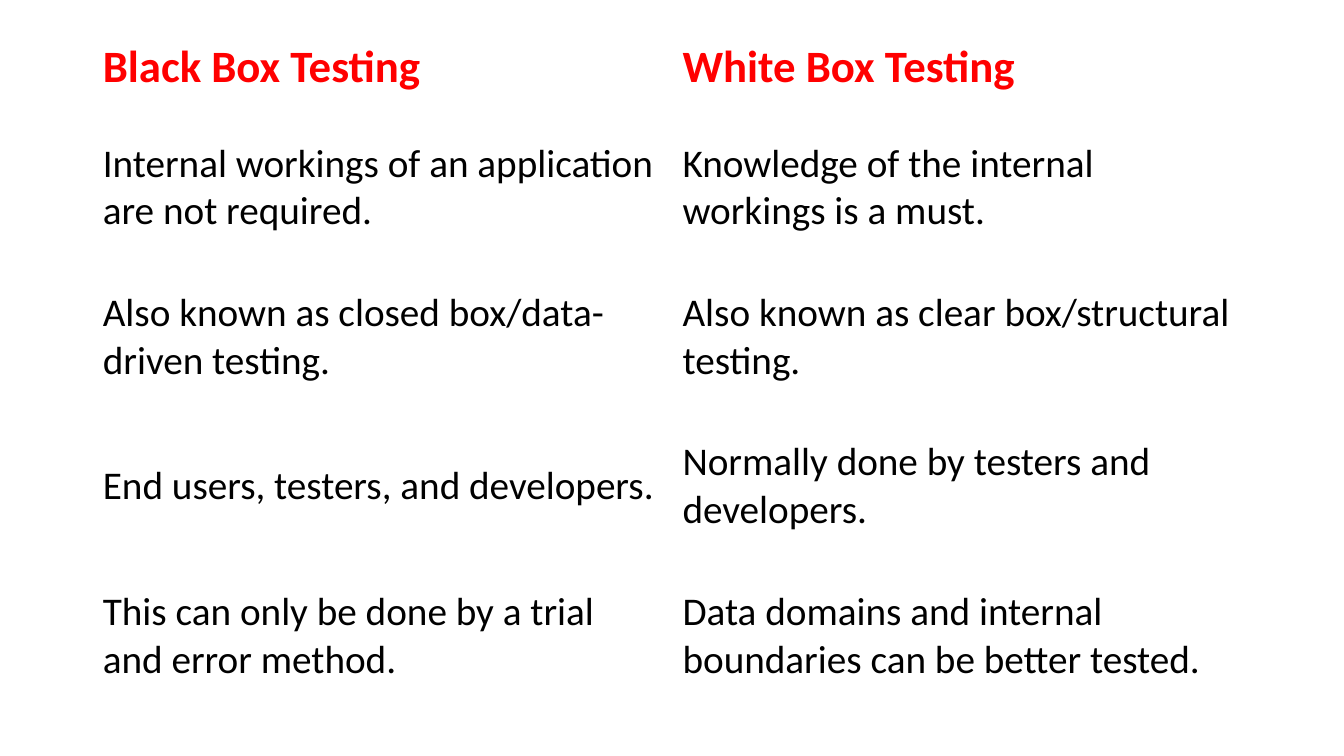
from pptx import Presentation
from pptx.dml.color import RGBColor
from pptx.enum.text import MSO_ANCHOR
from pptx.util import Inches, Pt

MIDDLE = MSO_ANCHOR.MIDDLE
WHITE = RGBColor(0xFF, 0xFF, 0xFF)
RED = RGBColor(0xFF, 0x00, 0x00)
BLACK = RGBColor(0x00, 0x00, 0x00)
FONT = "Calibri"
BLANK_LAYOUT = 6
HEADER_HEIGHT = 0.9

COMPARISON = [
    ("Black Box Testing", "White Box Testing"),
    ("Internal workings of an application are not required.",
     "Knowledge of the internal workings is a must."),
    ("Also known as closed box/data-driven testing.",
     "Also known as clear box/structural testing."),
    ("End users, testers, and developers.",
     "Normally done by testers and developers."),
    ("This can only be done by a trial and error method.",
     "Data domains and internal boundaries can be better tested."),
]


def fill_cell(cell, wording, is_header):
    """Write one cell as a red heading or as black body text."""
    cell.fill.solid()
    cell.fill.fore_color.rgb = WHITE
    cell.vertical_anchor = MIDDLE
    cell.margin_left = cell.margin_right = Inches(0.1)
    cell.margin_top = cell.margin_bottom = Inches(0.1 if is_header else 0.15)
    statement = cell.text_frame.paragraphs[0].add_run()
    statement.text = wording
    statement.font.name = FONT
    statement.font.size = Pt(32 if is_header else 28)
    statement.font.bold = is_header
    statement.font.color.rgb = RED if is_header else BLACK


def add_comparison(slide, left, top, width, height):
    """Place the comparison table in the given box, in inches."""
    row_count, column_count = len(COMPARISON), len(COMPARISON[0])
    comparison = slide.shapes.add_table(
        row_count, column_count,
        Inches(left), Inches(top), Inches(width), Inches(height)).table
    comparison.horz_banding = False
    for column in comparison.columns:
        column.width = Inches(width / column_count)
    body_height = (height - HEADER_HEIGHT) / (row_count - 1)
    for row_index, statements in enumerate(COMPARISON):
        is_header = row_index == 0
        comparison.rows[row_index].height = Inches(
            HEADER_HEIGHT if is_header else body_height)
        for column_index, wording in enumerate(statements):
            fill_cell(comparison.cell(row_index, column_index), wording, is_header)


def main():
    """Build and save the testing comparison slide."""
    deck = Presentation()
    deck.slide_width, deck.slide_height = Inches(13.33), Inches(7.5)
    slide = deck.slides.add_slide(deck.slide_layouts[BLANK_LAYOUT])
    add_comparison(slide, 0.92, 0.22, 11.5, 6.83)
    deck.save("out.pptx")


if __name__ == "__main__":
    main()
